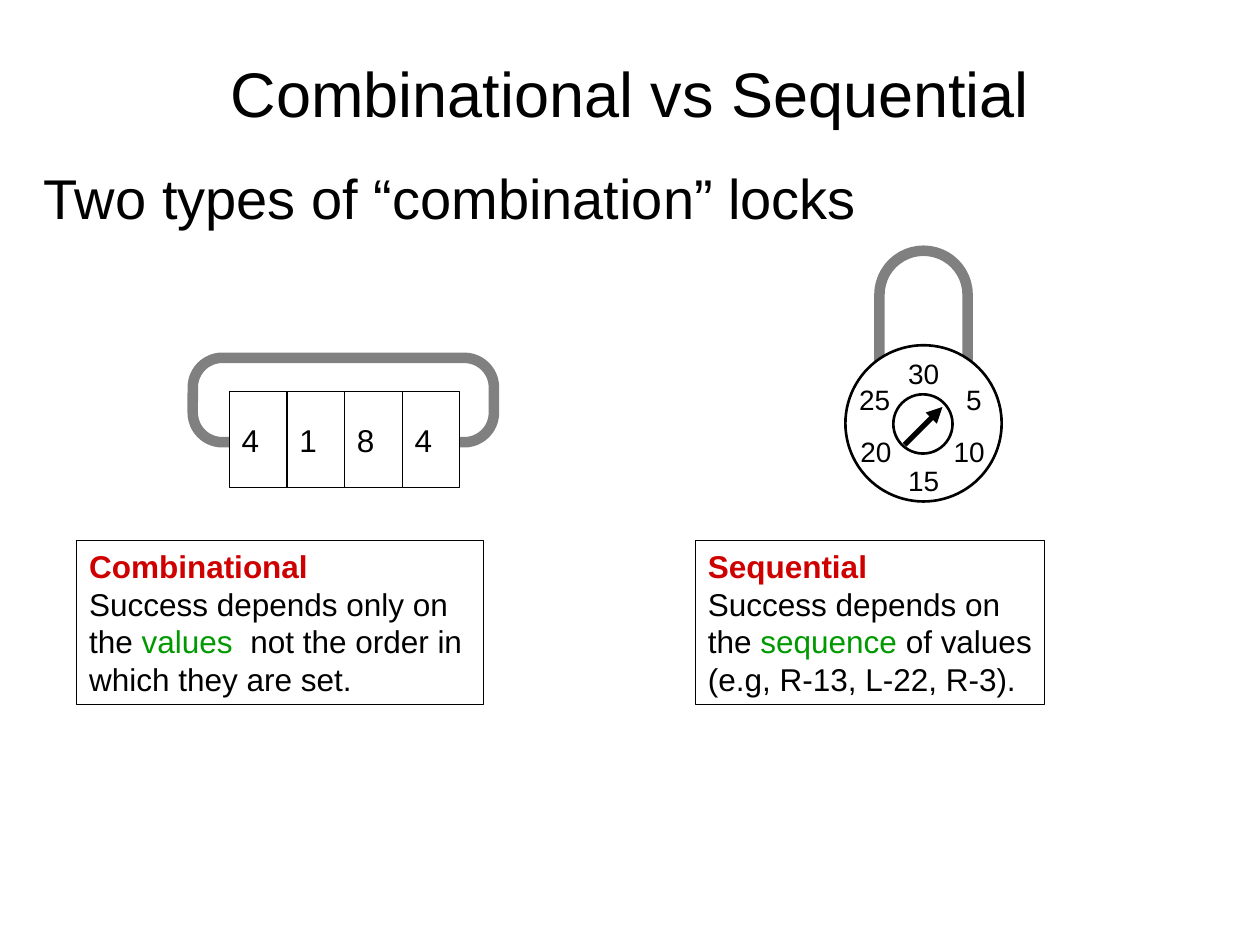
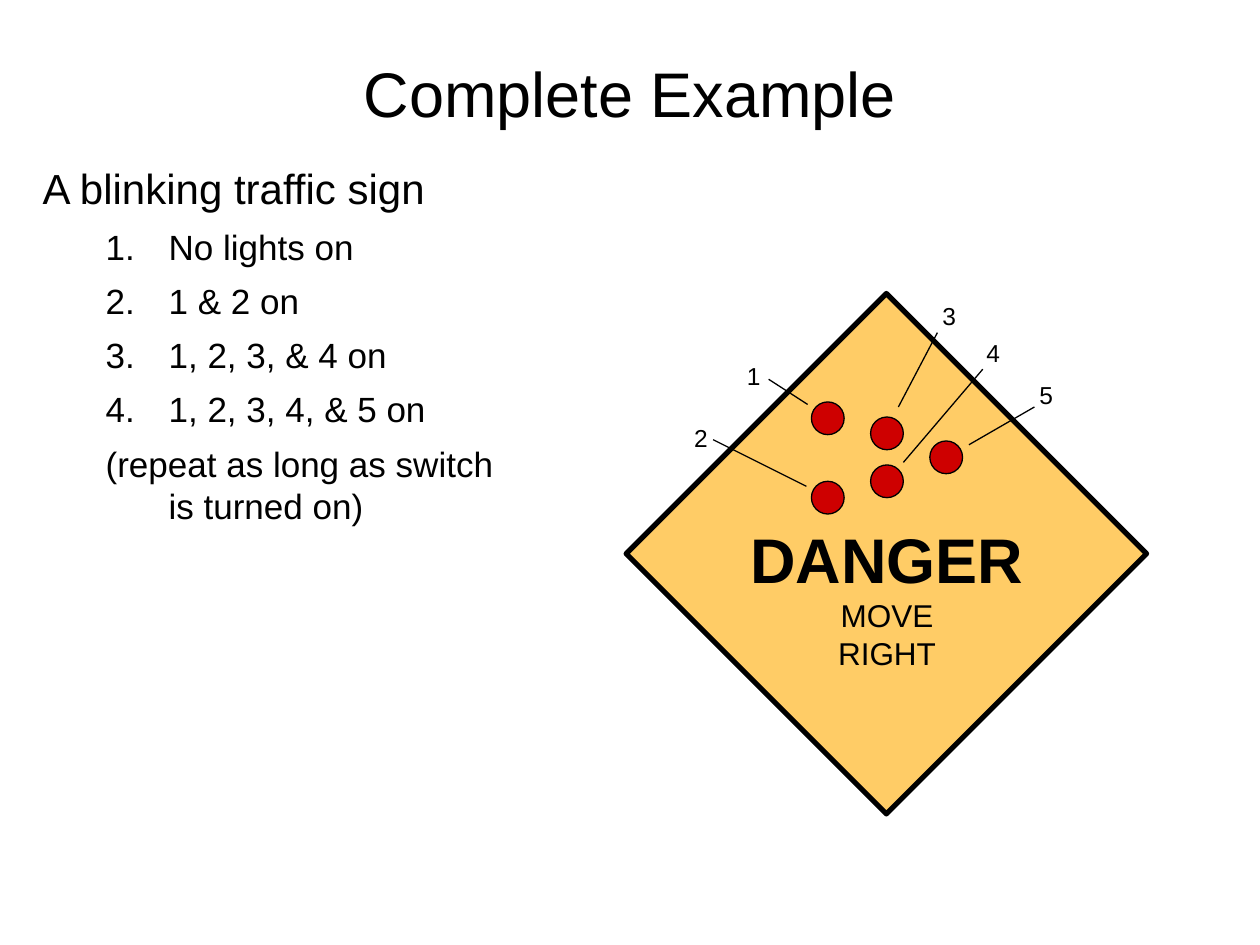
"""Build two slides on combinational and sequential logic."""
from dataclasses import dataclass
from typing import Optional

from lxml.etree import SubElement
from pptx import Presentation
from pptx.dml.color import RGBColor
from pptx.enum.shapes import MSO_CONNECTOR, MSO_SHAPE
from pptx.enum.text import MSO_ANCHOR, MSO_AUTO_SIZE, PP_ALIGN
from pptx.oxml.ns import qn
from pptx.shapes.autoshape import Shape
from pptx.shapes.connector import Connector
from pptx.slide import Slide
from pptx.text.text import TextFrame
from pptx.util import Inches, Pt


@dataclass(frozen=True)
class Theme:
    font: str = "Arial"
    black: str = "000000"
    white: str = "FFFFFF"
    steel: str = "808080"
    red: str = "CE0000"
    green: str = "009900"
    amber: str = "FFCC66"
    title_size: int = 36
    lead_size: int = 32
    heading_size: int = 24
    list_size: int = 20
    text_size: int = 18
    dial_size: int = 16
    label_size: int = 14
    thin: float = 0.75
    medium: float = 1.5
    thick: float = 3
    shackle: float = 6


THEME = Theme()


@dataclass(frozen=True)
class Box:
    left: float
    top: float
    width: float
    height: float


@dataclass(frozen=True)
class Span:
    text: str
    size: int = THEME.text_size
    color: str = THEME.black
    bold: bool = False
    spacing: int = 0


@dataclass(frozen=True)
class Line:
    spans: list[Span]
    space_before: int = 0
    margin: float = 0
    hanging: float = 0
    numbered: bool = False
    centered: bool = False


@dataclass(frozen=True)
class DialNumber:
    text: str
    left: float
    top: float
    width: float = 0.46


@dataclass(frozen=True)
class Definition:
    box: Box
    lines: list[Line]


@dataclass(frozen=True)
class Light:
    number: str
    column: int
    top: float
    label: tuple[float, float]
    leader_start: tuple[float, float]
    leader_end: tuple[float, float]


TUMBLERS = "4184"
DIAL_NUMBERS = [
    DialNumber("30", 7.11, 2.78),
    DialNumber("15", 7.11, 3.63),
    DialNumber("5", 7.57, 2.99, 0.34),
    DialNumber("10", 7.47, 3.4),
    DialNumber("20", 6.73, 3.4),
    DialNumber("25", 6.72, 2.99),
]
DEFINITIONS = [
    Definition(Box(0.61, 4.29, 3.23, 1.3), [
        Line([Span("Combinational", color=THEME.red, bold=True)]),
        Line([
            Span("Success depends only on\nthe "),
            Span("values", color=THEME.green),
            Span(" ", spacing=500),
            Span("not the order in\nwhich they are set."),
        ]),
    ]),
    Definition(Box(5.52, 4.29, 2.77, 1.3), [
        Line([Span("Sequential", color=THEME.red, bold=True)]),
        Line([
            Span("Success depends on\nthe "),
            Span("sequence ", color=THEME.green),
            Span("of values"),
        ]),
        Line([Span("(e.g, R-13, L-22, R-3).")]),
    ]),
]
STEPS = ["No lights on", "1 & 2 on", "1, 2, 3, & 4 on", "1, 2, 3, 4, & 5 on"]
LIGHTS = [
    Light("1", 0, 3.19, (5.83, 2.82), (6.1, 3.01), (6.41, 3.21)),
    Light("2", 0, 3.82, (5.41, 3.31), (5.66, 3.49), (6.4, 3.86)),
    Light("3", 1, 3.31, (7.38, 2.34), (7.44, 2.64), (7.13, 3.23)),
    Light("4", 1, 3.69, (7.73, 2.63), (7.8, 2.93), (7.17, 3.67)),
    Light("5", 2, 3.5, (8.15, 2.97), (8.21, 3.23), (7.69, 3.53)),
]


def place(box: Box) -> tuple[int, int, int, int]:
    return Inches(box.left), Inches(box.top), Inches(box.width), Inches(box.height)


def add_span(paragraph, span: Span) -> None:
    for index, text in enumerate(span.text.split("\n")):
        if index:
            paragraph.add_line_break()
        if not text:
            continue
        run = paragraph.add_run()
        run.text = text
        run.font.name = THEME.font
        run.font.size = Pt(span.size)
        run.font.bold = span.bold
        run.font.color.rgb = RGBColor.from_string(span.color)
        if span.spacing:
            run.font._element.set("spc", str(span.spacing))


def write(frame: TextFrame, lines: list[Line]) -> None:
    for index, line in enumerate(lines):
        paragraph = frame.add_paragraph() if index else frame.paragraphs[0]
        paragraph.alignment = PP_ALIGN.CENTER if line.centered else PP_ALIGN.LEFT
        paragraph.space_before = Pt(line.space_before)
        properties = paragraph._p.get_or_add_pPr()
        if line.hanging:
            properties.set("marL", str(Inches(line.margin)))
            properties.set("indent", str(-Inches(line.hanging)))
        if line.numbered:
            SubElement(properties, qn("a:buAutoNum"), type="arabicPeriod")
        for span in line.spans:
            add_span(paragraph, span)


def add_text(slide: Slide, box: Box, lines: list[Line], wrap: bool = False) -> None:
    frame = slide.shapes.add_textbox(*place(box)).text_frame
    frame.word_wrap = wrap
    frame.auto_size = MSO_AUTO_SIZE.NONE if wrap else MSO_AUTO_SIZE.SHAPE_TO_FIT_TEXT
    write(frame, lines)


def add_figure(slide: Slide, kind: MSO_SHAPE, box: Box, fill: Optional[str],
               width: float, color: str = THEME.black) -> Shape:
    shape = slide.shapes.add_shape(kind, *place(box))
    shape.shadow.inherit = False
    if fill:
        shape.fill.solid()
        shape.fill.fore_color.rgb = RGBColor.from_string(fill)
    else:
        shape.fill.background()
    shape.line.color.rgb = RGBColor.from_string(color)
    shape.line.width = Pt(width)
    return shape


def add_line(slide: Slide, start: tuple[float, float], end: tuple[float, float],
             width: float) -> Connector:
    points = [Inches(value) for value in (*start, *end)]
    connector = slide.shapes.add_connector(MSO_CONNECTOR.STRAIGHT, *points)
    connector.line.color.rgb = RGBColor.from_string(THEME.black)
    connector.line.width = Pt(width)
    SubElement(connector._element.spPr, qn("a:effectLst"))
    return connector


def add_titled_slide(presentation, title: str) -> Slide:
    slide = presentation.slides.add_slide(presentation.slide_layouts[5])
    placeholder = slide.shapes.title
    placeholder.left, placeholder.top, placeholder.width, placeholder.height = place(
        Box(0.5, 0.3, 9, 0.87))
    frame = placeholder.text_frame
    frame.vertical_anchor = MSO_ANCHOR.MIDDLE
    frame.auto_size = MSO_AUTO_SIZE.NONE
    write(frame, [Line([Span(title, THEME.title_size)], centered=True)])
    return slide


def draw_tumbler_lock(slide: Slide) -> None:
    shackle = add_figure(slide, MSO_SHAPE.ROUNDED_RECTANGLE, Box(1.53, 2.84, 2.39, 0.67),
                         None, THEME.shackle, THEME.steel)
    shackle.adjustments[0] = 0.35
    pitch = 1.83 / len(TUMBLERS)
    for index, digit in enumerate(TUMBLERS):
        tumbler = add_figure(slide, MSO_SHAPE.RECTANGLE,
                             Box(1.82 + index * pitch, 3.11, pitch, 0.76),
                             THEME.white, THEME.thin)
        tumbler.text_frame.word_wrap = False
        tumbler.text_frame.vertical_anchor = MSO_ANCHOR.MIDDLE
        write(tumbler.text_frame, [Line([Span(digit)])])


def draw_dial_lock(slide: Slide) -> None:
    shackle = add_figure(slide, MSO_SHAPE.ROUNDED_RECTANGLE, Box(6.98, 1.99, 0.7, 1.23),
                         THEME.white, THEME.shackle, THEME.steel)
    shackle.adjustments[0] = 0.5
    for box in (Box(6.71, 2.74, 1.24, 1.24), Box(7.09, 3.13, 0.47, 0.47)):
        add_figure(slide, MSO_SHAPE.OVAL, box, THEME.white, THEME.medium)
    for number in DIAL_NUMBERS:
        add_text(slide, Box(number.left, number.top, number.width, 0.37),
                 [Line([Span(number.text, THEME.dial_size)])])
    pointer = add_line(slide, (7.18, 3.53), (7.48, 3.23), THEME.thick)
    SubElement(pointer.line._get_or_add_ln(), qn("a:tailEnd"), type="triangle")


def build_locks(presentation) -> None:
    slide = add_titled_slide(presentation, "Combinational vs Sequential")
    lead = Span("Two types of “combination” locks", THEME.lead_size)
    add_text(slide, Box(0.25, 1.25, 9.5, 0.74),
             [Line([lead], margin=0.38, hanging=0.38)], wrap=True)
    draw_tumbler_lock(slide)
    draw_dial_lock(slide)
    for definition in DEFINITIONS:
        shape = add_figure(slide, MSO_SHAPE.RECTANGLE, definition.box, None, THEME.thin)
        shape.text_frame.word_wrap = False
        shape.text_frame.auto_size = MSO_AUTO_SIZE.SHAPE_TO_FIT_TEXT
        shape.text_frame.vertical_anchor = MSO_ANCHOR.TOP
        write(shape.text_frame, definition.lines)


def build_traffic_sign(presentation) -> None:
    slide = add_titled_slide(presentation, "Complete Example")
    heading = Span("A blinking traffic sign", THEME.heading_size)
    steps = [Line([Span(step, THEME.list_size)], 7, 1, 0.5, numbered=True) for step in STEPS]
    repeat = Span("(repeat as long as switch\nis turned on)", THEME.list_size)
    add_text(slide, Box(0.24, 1.24, 9.5, 5.42),
             [Line([heading], margin=0.38, hanging=0.38), *steps,
              Line([repeat], 7, 1, 0.5)], wrap=True)
    add_figure(slide, MSO_SHAPE.DIAMOND, Box(4.97, 2.33, 4.13, 4.13),
               THEME.amber, THEME.thick)
    warning = [Span("DANGER\n", THEME.title_size, bold=True), Span("MOVE\nRIGHT")]
    add_text(slide, Box(5.84, 4.08, 2.4, 1.3), [Line(warning, centered=True)])
    for light in LIGHTS:
        add_figure(slide, MSO_SHAPE.OVAL,
                   Box(6.44 + light.column * 0.47, light.top, 0.26, 0.26),
                   THEME.red, THEME.thin)
        add_text(slide, Box(*light.label, 0.31, 0.34),
                 [Line([Span(light.number, THEME.label_size)])])
        add_line(slide, light.leader_start, light.leader_end, THEME.thin)


def main() -> None:
    presentation = Presentation()
    presentation.slide_width = Inches(10)
    presentation.slide_height = Inches(7.5)
    build_locks(presentation)
    build_traffic_sign(presentation)
    presentation.save("out.pptx")


if __name__ == "__main__":
    main()
